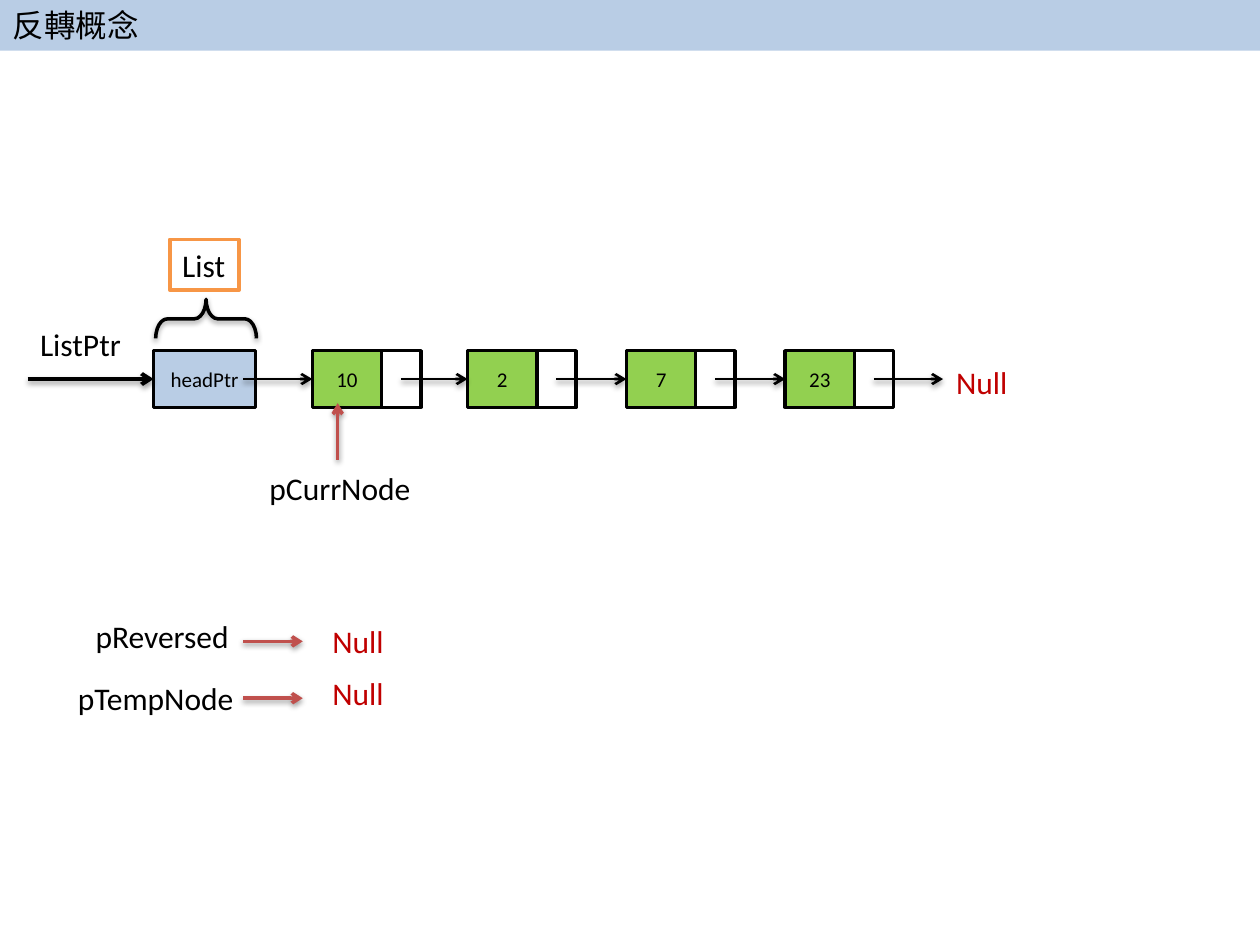
"""Build a slide that shows the starting state of a linked list reversal."""
from lxml import etree
from pptx import Presentation
from pptx import util as u
from pptx.dml.color import RGBColor
from pptx.enum import shapes, text
from pptx.oxml.ns import qn

BLACK = RGBColor(0x00, 0x00, 0x00)
WHITE = RGBColor(0xFF, 0xFF, 0xFF)
BLUE = RGBColor(0xB9, 0xCD, 0xE5)
GREEN = RGBColor(0x92, 0xD0, 0x50)
ORANGE = RGBColor(0xF7, 0x96, 0x46)
RED = RGBColor(0xC0, 0x50, 0x4D)
DARK_RED = RGBColor(0xC0, 0x00, 0x00)


def write(shape, words, size=18, color=BLACK, font="Calibri", wrap=True,
          align=text.PP_ALIGN.LEFT, anchor=text.MSO_ANCHOR.TOP):
    frame = shape.text_frame
    frame.word_wrap = wrap
    frame.auto_size = text.MSO_AUTO_SIZE.NONE
    frame.vertical_anchor = anchor
    para = frame.paragraphs[0]
    para.alignment = align
    span = para.add_run()
    span.text = words
    span.font.size = u.Pt(size)
    span.font.name = font
    span.font.color.rgb = color
    etree.SubElement(span.font._element, qn("a:ea")).set("typeface", font)


def draw_arrow(start, end, color=BLACK, width=1.5, target=None):
    arrow = page.shapes.add_connector(
        shapes.MSO_CONNECTOR.STRAIGHT, *[u.Pt(value) for value in start + end])
    arrow.line.color.rgb = color
    arrow.line.width = u.Pt(width)
    etree.SubElement(arrow.line._get_or_add_ln(), qn("a:tailEnd")).set("type", "arrow")
    if target is not None:
        arrow.end_connect(target, 1)


deck = Presentation()
deck.slide_width, deck.slide_height = u.Pt(720), u.Pt(540)
page = deck.slides.add_slide(deck.slide_layouts[5])

title = page.shapes.title
title.left, title.top, title.width, title.height = u.Pt(0), u.Pt(0), u.Pt(720), u.Pt(29)
title.fill.solid()
title.fill.fore_color.rgb = BLUE
write(title, "反轉概念", font="Noto Sans CJK SC")

ROW_TOP, ROW_HEIGHT = 200.4, 32.4
ROW_MIDDLE = ROW_TOP + ROW_HEIGHT / 2
VALUE_WIDTH, LINK_WIDTH = 39.6, 22.4
nodes = {"10": 178.5, "2": 267.2, "7": 358, "23": 448.7}

cells = [("headPtr", 87.8, 58.4, BLUE)]
for value, left in nodes.items():
    cells.append((value, left, VALUE_WIDTH, GREEN))
    cells.append(("", left + VALUE_WIDTH, LINK_WIDTH, WHITE))

targets = []
for words, left, width, fill in cells:
    box = page.shapes.add_shape(shapes.MSO_SHAPE.RECTANGLE, u.Pt(left), u.Pt(ROW_TOP),
                                u.Pt(width), u.Pt(ROW_HEIGHT))
    box.shadow.inherit = False
    box.fill.solid()
    box.fill.fore_color.rgb = fill
    box.line.color.rgb = BLACK
    box.line.width = u.Pt(2)
    if words:
        write(box, words, size=12, align=text.PP_ALIGN.CENTER,
              anchor=text.MSO_ANCHOR.MIDDLE)
        targets.append(box)

tag = page.shapes.add_shape(shapes.MSO_SHAPE.RECTANGLE, u.Pt(97), u.Pt(136.8),
                            u.Pt(39.6), u.Pt(29))
tag.shadow.inherit = False
tag.fill.solid()
tag.fill.fore_color.rgb = WHITE
tag.line.color.rgb = ORANGE
tag.line.width = u.Pt(2)
write(tag, "List", wrap=False)

brace = page.shapes.add_shape(shapes.MSO_SHAPE.LEFT_BRACE, u.Pt(106.6), u.Pt(153.4),
                              u.Pt(22.3), u.Pt(57.6))
brace.rotation = 90
brace.adjustments[0] = 0.3
brace.fill.background()
brace.line.color.rgb = BLACK
brace.line.width = u.Pt(2)
brace._element.find(".//" + qn("a:effectRef")).set("idx", "1")

draw_arrow((15.8, ROW_MIDDLE), (87.8, ROW_MIDDLE), width=2.25, target=targets[0])
starts = [139] + [left + 50.6 for left in nodes.values()]
for start, target in zip(starts, targets[1:] + [None]):
    draw_arrow((start, ROW_MIDDLE), (start + 39.6, ROW_MIDDLE), target=target)

draw_arrow((193, 262.8), (193, 230.4), color=RED, width=2)
for middle in (366.5, 399):
    draw_arrow((139, middle), (173, middle), color=RED, width=2)

labels = [
    ("ListPtr", 15.8, 182.2, 62, BLACK),
    ("pCurrNode", 146.9, 264.2, 108.7, BLACK),
    ("pReversed", 47.5, 349.2, 108.7, BLACK),
    ("pTempNode", 37.4, 384.5, 108.7, BLACK),
    ("Null", 539.3, 203.8, 45.4, DARK_RED),
    ("Null", 182.9, 352, 45.4, DARK_RED),
    ("Null", 182.9, 381.6, 45.4, DARK_RED),
]
for words, left, top, width, color in labels:
    label = page.shapes.add_textbox(u.Pt(left), u.Pt(top), u.Pt(width), u.Pt(29))
    write(label, words, color=color)

deck.save("out.pptx")
